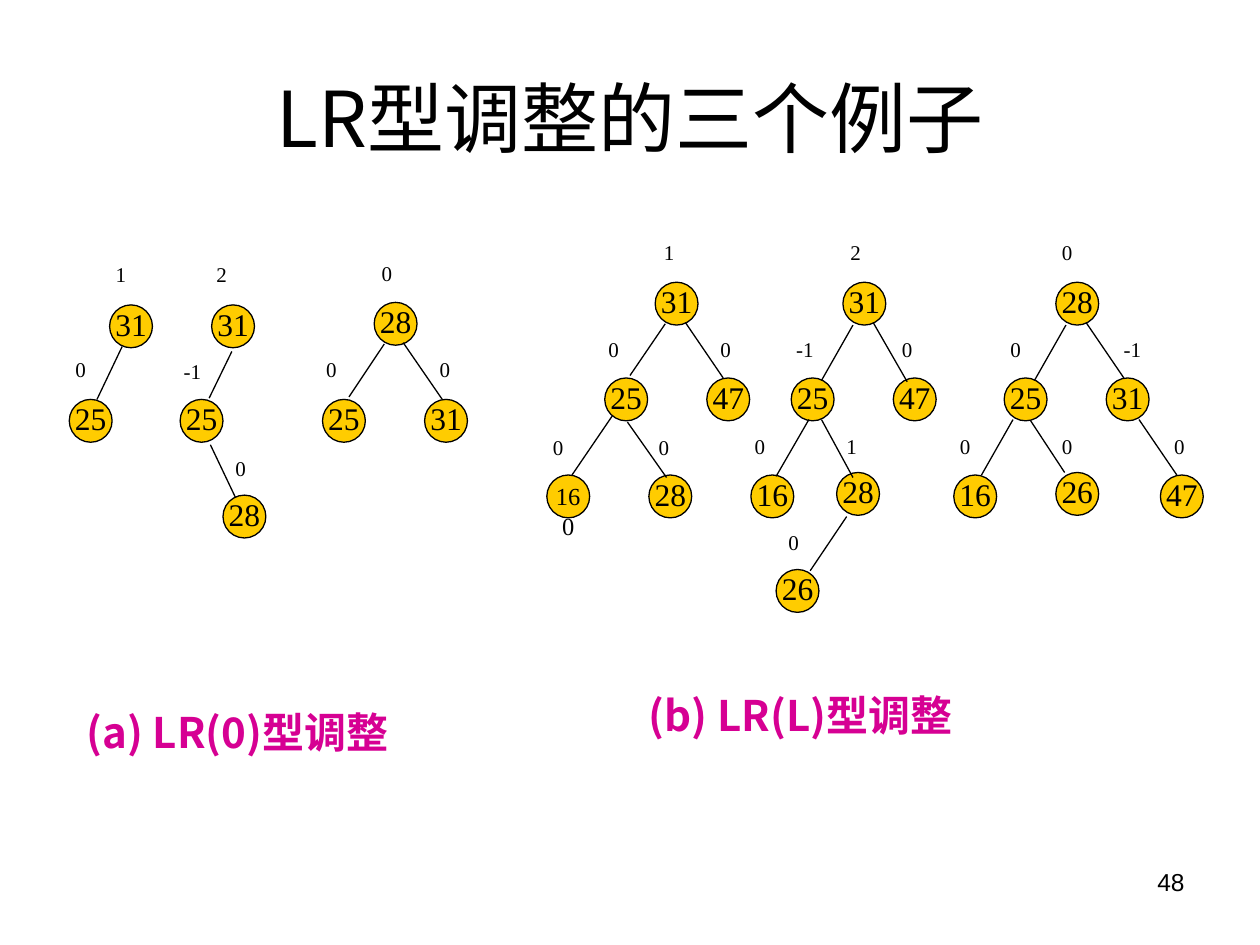
"""Draw the slide with three examples of LR rebalancing."""
from dataclasses import dataclass
from typing import Optional

from lxml.etree import SubElement
from pptx import Presentation
from pptx.dml.color import RGBColor
from pptx.enum.shapes import MSO_CONNECTOR, MSO_SHAPE
from pptx.enum.text import MSO_ANCHOR, PP_ALIGN
from pptx.oxml.ns import qn
from pptx.util import Inches, Pt

COLORS = {"ink": "000000", "node": "FFCC00", "caption": "D60093"}
SERIF = "Times New Roman"
DIAMETER = 0.34
VALUE_FORMAT = {"size": 18, "font": SERIF, "align": PP_ALIGN.CENTER,
                "insets": (0, 0, 0, 0.04), "wrap": False}
LONG_VALUE_FORMAT = {**VALUE_FORMAT, "size": 14, "insets": (0, 0.05, 0, 0.04)}
BALANCE_FORMAT = {"size": 12, "font": SERIF, "align": PP_ALIGN.JUSTIFY}
CAPTION_FORMAT = {"size": 24, "font": "Noto Sans CJK SC", "bold": True,
                  "ink": "caption"}


@dataclass
class Node:
    value: str
    left: float
    top: float
    balance: str
    balance_left: float
    balance_top: float
    edge: Optional[tuple] = None


PANELS = [
    [
        Node("31", 0.87, 2.42, "1", 0.82, 2.03),
        Node("25", 0.55, 3.17, "0", 0.5, 2.78, (0.97, 2.75, 0.77, 3.17)),
        Node("31", 1.68, 2.42, "2", 1.62, 2.03),
        Node("25", 1.43, 3.17, "-1", 1.36, 2.8, (1.84, 2.79, 1.66, 3.16)),
        Node("28", 1.77, 3.93, "0", 1.77, 3.57, (1.67, 3.53, 1.87, 3.95)),
        Node("28", 2.97, 2.4, "0", 2.93, 2.02),
        Node("25", 2.56, 3.17, "0", 2.49, 2.78, (3.05, 2.73, 2.77, 3.15)),
        Node("31", 3.37, 3.17, "0", 3.39, 2.78, (3.2, 2.72, 3.51, 3.17)),
    ],
    [
        Node("31", 5.2, 2.24, "1", 5.17, 1.85),
        Node("25", 4.8, 3, "0", 4.73, 2.62, (5.28, 2.57, 5, 2.98)),
        Node("47", 5.61, 3, "0", 5.62, 2.62, (5.44, 2.56, 5.74, 3)),
        Node("160", 4.34, 3.77, "0", 4.29, 3.4, (4.86, 3.3, 4.54, 3.77)),
        Node("28", 5.15, 3.77, "0", 5.13, 3.4, (4.98, 3.35, 5.29, 3.79)),
        Node("31", 6.69, 2.24, "2", 6.65, 1.85),
        Node("25", 6.28, 3, "-1", 6.22, 2.62, (6.77, 2.58, 6.52, 3.02)),
        Node("47", 7.09, 3, "0", 7.06, 2.62, (6.93, 2.56, 7.2, 3.03)),
        Node("16", 5.96, 3.77, "0", 5.89, 3.39, (6.42, 3.33, 6.16, 3.78)),
        Node("28", 6.64, 3.75, "1", 6.62, 3.39, (6.52, 3.33, 6.77, 3.79)),
        Node("26", 6.16, 4.52, "0", 6.16, 4.15, (6.72, 4.1, 6.43, 4.53)),
        Node("28", 8.38, 2.24, "0", 8.33, 1.85),
        Node("25", 7.97, 3, "0", 7.92, 2.62, (8.46, 2.58, 8.21, 3.02)),
        Node("31", 8.78, 3, "-1", 8.82, 2.62, (8.62, 2.56, 8.92, 3)),
        Node("16", 7.57, 3.77, "0", 7.52, 3.39, (8.04, 3.33, 7.79, 3.77)),
        Node("26", 8.38, 3.75, "0", 8.33, 3.39, (8.18, 3.34, 8.45, 3.75)),
        Node("47", 9.21, 3.77, "0", 9.22, 3.39, (9.04, 3.33, 9.34, 3.77)),
    ],
]


def color(name: str) -> RGBColor:
    return RGBColor.from_string(COLORS[name])


def add_text(shapes, text: str, place: tuple, size: int, font: str,
             align=PP_ALIGN.LEFT, bold: bool = False, ink: str = "ink",
             anchor=MSO_ANCHOR.TOP, insets: tuple = (0.1, 0.05, 0.1, 0.05),
             wrap: bool = True) -> None:
    box = shapes.add_textbox(*map(Inches, place))
    left, top, right, bottom = map(Inches, insets)
    frame_values = {"word_wrap": wrap, "vertical_anchor": anchor, "margin_left": left,
                    "margin_top": top, "margin_right": right, "margin_bottom": bottom}
    for name, value in frame_values.items():
        setattr(box.text_frame, name, value)
    para = box.text_frame.paragraphs[0]
    para.alignment = align
    span = para.add_run()
    span.text = text
    for name, value in {"size": Pt(size), "name": font, "bold": bold}.items():
        setattr(span.font, name, value)
    span.font.color.rgb = color(ink)
    SubElement(span.font._element, qn("a:ea"), typeface=font)


def add_edge(shapes, ends: tuple) -> None:
    edge = shapes.add_connector(MSO_CONNECTOR.STRAIGHT, *map(Inches, ends))
    edge.line.color.rgb = color("ink")
    edge.line.width = Pt(0.75)
    SubElement(edge._element.spPr, qn("a:effectLst"))


def add_node(shapes, node: Node) -> None:
    place = (node.left, node.top, DIAMETER, DIAMETER)
    circle = shapes.add_shape(MSO_SHAPE.OVAL, *map(Inches, place))
    circle.shadow.inherit = False
    circle.fill.solid()
    circle.fill.fore_color.rgb = color("node")
    circle.line.color.rgb = color("ink")
    circle.line.width = Pt(0.75)
    style = VALUE_FORMAT if len(node.value) < 3 else LONG_VALUE_FORMAT
    add_text(shapes, node.value, (node.left + 0.03, node.top, 0.28, 0.4), **style)
    add_text(shapes, node.balance, (node.balance_left, node.balance_top, 0.6, 0.57),
             **BALANCE_FORMAT)


def build() -> None:
    deck = Presentation()
    deck.slide_width, deck.slide_height = Inches(10), Inches(7.5)
    page = deck.slides.add_slide(deck.slide_layouts[6])
    add_text(page.shapes, "LR型调整的三个例子", (0.5, 0.3, 9, 1.25), 44, "Noto Sans CJK JP",
             PP_ALIGN.CENTER, anchor=MSO_ANCHOR.MIDDLE)
    for panel in PANELS:
        group = page.shapes.add_group_shape()
        for node in panel:
            add_node(group.shapes, node)
        for node in panel:
            if node.edge:
                add_edge(group.shapes, node.edge)
    add_text(page.shapes, "(b) LR(L)型调整", (4.9, 5.42, 5.1, 0.5),
             insets=(0.25, 0.05, 0.1, 0.05), **CAPTION_FORMAT)
    add_text(page.shapes, "(a) LR(0)型调整", (0.59, 5.56, 3, 0.5), **CAPTION_FORMAT)
    add_text(page.shapes, "48", (7.17, 6.83, 2.33, 0.52), 14, "Arial", PP_ALIGN.RIGHT)
    deck.save("out.pptx")


build()
